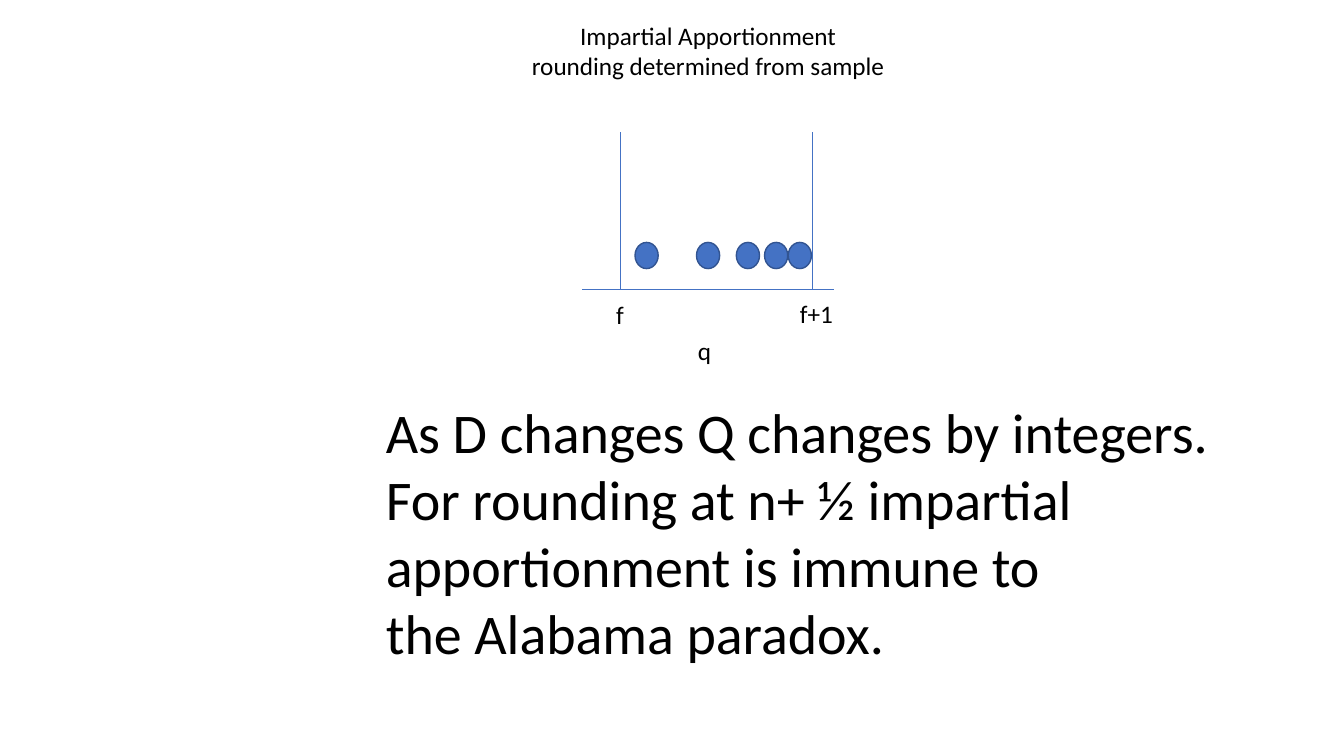
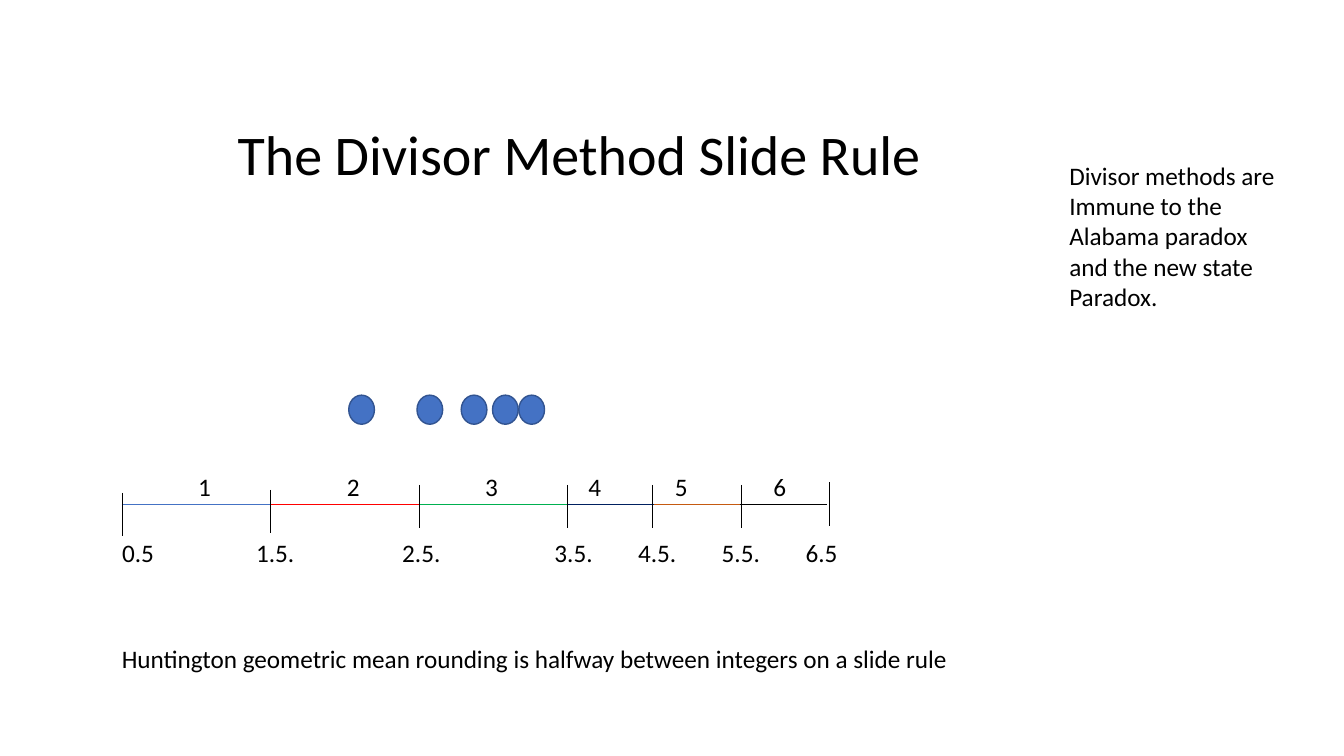
from itertools import pairwise

from lxml import etree
from pptx import Presentation
from pptx.dml.color import RGBColor
from pptx.enum import shapes, text
from pptx.oxml import ns
from pptx.util import Inches, Pt

COLORS = {
    "blue": "4472C4",
    "outline": "325491",
    "red": "FF0000",
    "green": "00B050",
    "navy": "002060",
    "orange": "C55A11",
    "black": "000000",
}


class Deck:
    font = "Calibri"
    body_size = 18
    display_size = 40
    columns, rows = 133.33, 75
    cell = 0.1
    label_width, label_height = 8, 4
    dot_width, dot_height = 2.3, 2.6
    dot_offsets = (0, 6.1, 10.05, 12.85, 15.2)

    def __init__(self):
        self.presentation = Presentation()
        self.presentation.slide_width = self.length(self.columns)
        self.presentation.slide_height = self.length(self.rows)
        self.slide = None

    def length(self, cells):
        return Inches(cells * self.cell)

    def color(self, name):
        return RGBColor.from_string(COLORS[name])

    def add_slide(self):
        blank = self.presentation.slide_layouts[6]
        self.slide = self.presentation.slides.add_slide(blank)

    def add_text(self, left, top, width, height, lines, size=body_size, centred=False):
        box = self.slide.shapes.add_textbox(*map(self.length, (left, top, width, height)))
        frame = box.text_frame
        frame.word_wrap = False
        frame.auto_size = text.MSO_AUTO_SIZE.SHAPE_TO_FIT_TEXT
        for index, line in enumerate(lines):
            paragraph = frame.add_paragraph() if index else frame.paragraphs[0]
            paragraph.alignment = text.PP_ALIGN.CENTER if centred else text.PP_ALIGN.LEFT
            run = paragraph.add_run()
            run.text = line
            run.font.name = self.font
            run.font.size = Pt(size)
            run.font.color.rgb = self.color("black")

    def add_label(self, center, top, label):
        left = center - self.label_width / 2
        self.add_text(left, top, self.label_width, self.label_height, [label], centred=True)

    def add_line(self, start_x, start_y, end_x, end_y, color):
        ends = map(self.length, (start_x, start_y, end_x, end_y))
        line = self.slide.shapes.add_connector(shapes.MSO_CONNECTOR.STRAIGHT, *ends)
        line.line.color.rgb = self.color(color)
        line.line.width = Pt(0.5)
        etree.SubElement(line._element.spPr, ns.qn("a:effectLst"))

    def add_dots(self, left, top, scale=1):
        for offset in self.dot_offsets:
            bounds = (left + offset * scale, top, self.dot_width * scale, self.dot_height * scale)
            dot = self.slide.shapes.add_shape(
                shapes.MSO_SHAPE.OVAL, *map(self.length, bounds)
            )
            dot.shadow.inherit = False
            dot.fill.solid()
            dot.fill.fore_color.rgb = self.color("blue")
            dot.line.color.rgb = self.color("outline")
            dot.line.width = Pt(1)


def build_apportionment(deck):
    deck.add_slide()
    floor, ceiling, axis = 61.5, 80.55, 28.7
    for bound in (floor, ceiling):
        deck.add_line(bound, 13.1, bound, axis, "blue")
    deck.add_line(57.75, axis, 82.7, axis, "blue")
    for center, top, label in ((floor, 29.2, "f"), (81, 29.1, "f+1"), (69.9, 32.75, "q")):
        deck.add_label(center, top, label)
    deck.add_text(
        51.5, 1.5, 37.5, 7.1,
        ["Impartial Apportionment", "rounding determined from sample"],
        centred=True,
    )
    deck.add_dots(63, 24.05)
    deck.add_text(
        37.3, 38.9, 84.4, 27.9,
        [
            "As D changes Q changes by integers.",
            "For rounding at n+ ½ impartial",
            "apportionment is immune to",
            "the Alabama paradox.",
        ],
        size=deck.display_size,
    )


def build_slide_rule(deck):
    deck.add_slide()
    deck.add_text(
        22.6, 11.4, 70.4, 7.7, ["The Divisor Method Slide Rule"], size=deck.display_size
    )

    axis, tick_height = 50, 4.3
    edges = (12.1, 26.85, 41.6, 56.3, 64.9, 73.4, 82)
    segment_colors = ("blue", "red", "green", "navy", "orange", "black")
    seat_centers = (20.3, 35.05, 48.75, 59, 67.6, 77.35)
    segments = zip(pairwise(edges), segment_colors, seat_centers)
    for seats, ((start, end), color, center) in enumerate(segments, 1):
        deck.add_line(start, axis, end, axis, color)
        deck.add_label(center, 46.3, str(seats))

    ticks = (
        (12.1, 48.9, 13.7, "0.5"),
        (26.85, 48.6, 27.3, "1.5."),
        (41.6, 48.1, 41.8, "2.5."),
        (56.3, 48.1, 56.9, "3.5."),
        (64.7, 48.1, 65.2, "4.5."),
        (73.5, 48.1, 73.5, "5.5."),
        (82.3, 47.85, 81.5, "6.5"),
    )
    for tick, top, center, label in ticks:
        deck.add_line(tick, top, tick, top + tick_height, "black")
        deck.add_label(center, 52.85, label)

    deck.add_dots(34.6, 39.2, scale=1.11)
    deck.add_text(
        105.1, 15.4, 22.6, 16.2,
        [
            "Divisor methods are",
            "Immune to the",
            "Alabama paradox",
            "and the new state",
            "Paradox.",
        ],
    )
    deck.add_text(
        11.1, 63.3, 85.5, 4,
        ["Huntington geometric mean rounding is halfway between integers on a slide rule"],
    )


def main():
    deck = Deck()
    build_apportionment(deck)
    build_slide_rule(deck)
    deck.presentation.save("out.pptx")


if __name__ == "__main__":
    main()
